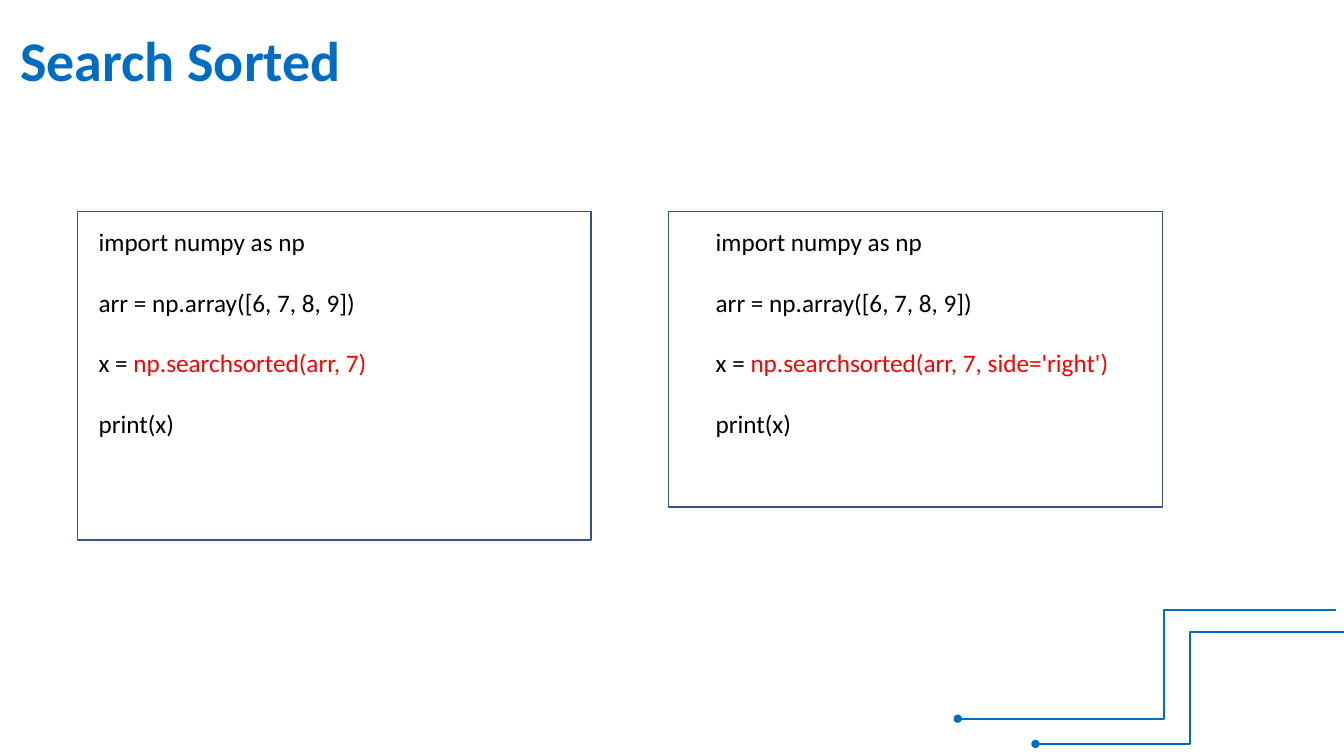
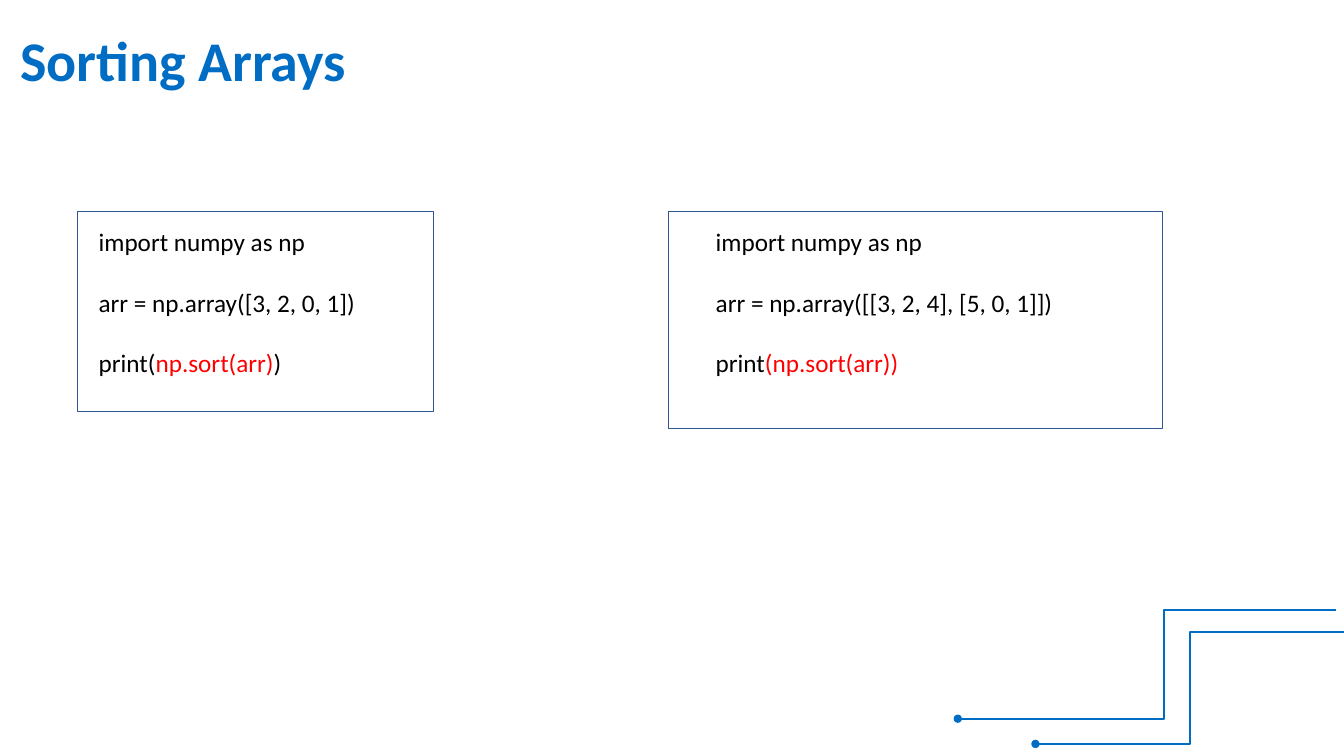
from lxml import etree
from pptx import Presentation
from pptx.dml.color import RGBColor
from pptx.enum import shapes, text
from pptx.oxml import ns
from pptx.util import Inches, Pt

COLORS = {"accent": "006DC5", "frame": "325491", "code": "000000", "highlight": "FF0000"}
FONT = "Calibri"
FRAME_TOP, CODE_TOP = 2.1, 2.2
LINE_GAP = 21.6  # one empty line of 18 pt code

# Corner lines: start, end, position of the bend in 1/1000 %
CIRCUIT_LINES = [
    ((13.25, 6.05), (9.5, 7.13), 45500),
    ((13.33, 6.27), (10.27, 7.38), 50000),
]

# Each panel: frame left, width, height; code left, width, height; wrap; lines.
# A line is a list of (words, colour) runs.
SLIDES = [
    ("Search Sorted", [
        ((0.77, 5.09, 3.26), (0.88, 4.12, 2.22), True, [
            [("import numpy as np", "code")],
            [("arr = np.array([6, 7, 8, 9])", "code")],
            [("x = ", "code"), ("np.searchsorted(arr, 7)", "highlight")],
            [("print(x)", "code")],
        ]),
        ((6.63, 4.9, 2.93), (7, 4.14, 2.22), False, [
            [("import numpy as np", "code")],
            [("arr = np.array([6, 7, 8, 9])", "code")],
            [("x = ", "code"), ("np.searchsorted(arr, 7, side='right')", "highlight")],
            [("print(x)", "code")],
        ]),
    ]),
    ("Sorting Arrays", [
        ((0.77, 3.53, 1.98), (0.88, 4.12, 1.62), True, [
            [("import numpy as np", "code")],
            [("arr = np.array([3, 2, 0, 1])", "code")],
            [("print(", "code"), ("np.sort(arr)", "highlight"), (")", "code")],
        ]),
        ((6.63, 4.9, 2.15), (7, 3.58, 1.62), False, [
            [("import numpy as np", "code")],
            [("arr = np.array([[3, 2, 4], [5, 0, 1]])", "code")],
            [("print", "code"), ("(np.sort(arr))", "highlight")],
        ]),
    ]),
]


def add_run(paragraph, words, size, color, bold=False):
    run = paragraph.add_run()
    run.text = words
    run.font.name = FONT
    run.font.size = Pt(size)
    run.font.bold = bold
    run.font.color.rgb = RGBColor.from_string(COLORS[color])


def add_circuit_line(slide, start, end, bend):
    """Draw a bent line with a dot at its end."""
    circuit = slide.shapes.add_connector(
        shapes.MSO_CONNECTOR.ELBOW, *(Inches(value) for value in start + end))
    circuit.line.color.rgb = RGBColor.from_string(COLORS["accent"])
    circuit.line.width = Pt(1.5)
    properties = circuit._element.spPr
    guides = properties.find(ns.qn("a:prstGeom")).get_or_add_avLst()
    etree.SubElement(guides, ns.qn("a:gd"), name="adj1", fmla=f"val {bend}")
    etree.SubElement(properties.find(ns.qn("a:ln")), ns.qn("a:tailEnd"), type="oval")
    etree.SubElement(properties, ns.qn("a:effectLst"))


deck = Presentation()
deck.slide_width = Inches(13.33)
deck.slide_height = Inches(7.5)

for heading, panels in SLIDES:
    slide = deck.slides.add_slide(deck.slide_layouts[5])

    title = slide.shapes.title
    title.left, title.top = Inches(0.1), Inches(0.2)
    title.width, title.height = Inches(10.92), Inches(0.77)
    title.text_frame.vertical_anchor = text.MSO_ANCHOR.TOP
    title.text_frame.auto_size = text.MSO_AUTO_SIZE.SHAPE_TO_FIT_TEXT
    title_line = title.text_frame.paragraphs[0]
    title_line.alignment = text.PP_ALIGN.LEFT
    add_run(title_line, heading, 40, "accent", bold=True)

    for start, end, bend in CIRCUIT_LINES:
        add_circuit_line(slide, start, end, bend)

    for frame_box, code_box, wrap, lines in panels:
        left, width, height = code_box
        code = slide.shapes.add_textbox(
            Inches(left), Inches(CODE_TOP), Inches(width), Inches(height)).text_frame
        code.word_wrap = wrap
        for index, runs in enumerate(lines):
            code_line = code.add_paragraph() if index else code.paragraphs[0]
            code_line.alignment = text.PP_ALIGN.LEFT
            code_line.space_before = Pt(LINE_GAP if index else 0)
            for words, color in runs:
                add_run(code_line, words, 18, color)

        left, width, height = frame_box
        frame = slide.shapes.add_shape(
            shapes.MSO_SHAPE.RECTANGLE,
            Inches(left), Inches(FRAME_TOP), Inches(width), Inches(height))
        frame.shadow.inherit = False
        frame.fill.background()
        frame.line.color.rgb = RGBColor.from_string(COLORS["frame"])
        frame.line.width = Pt(1)

deck.save("out.pptx")
